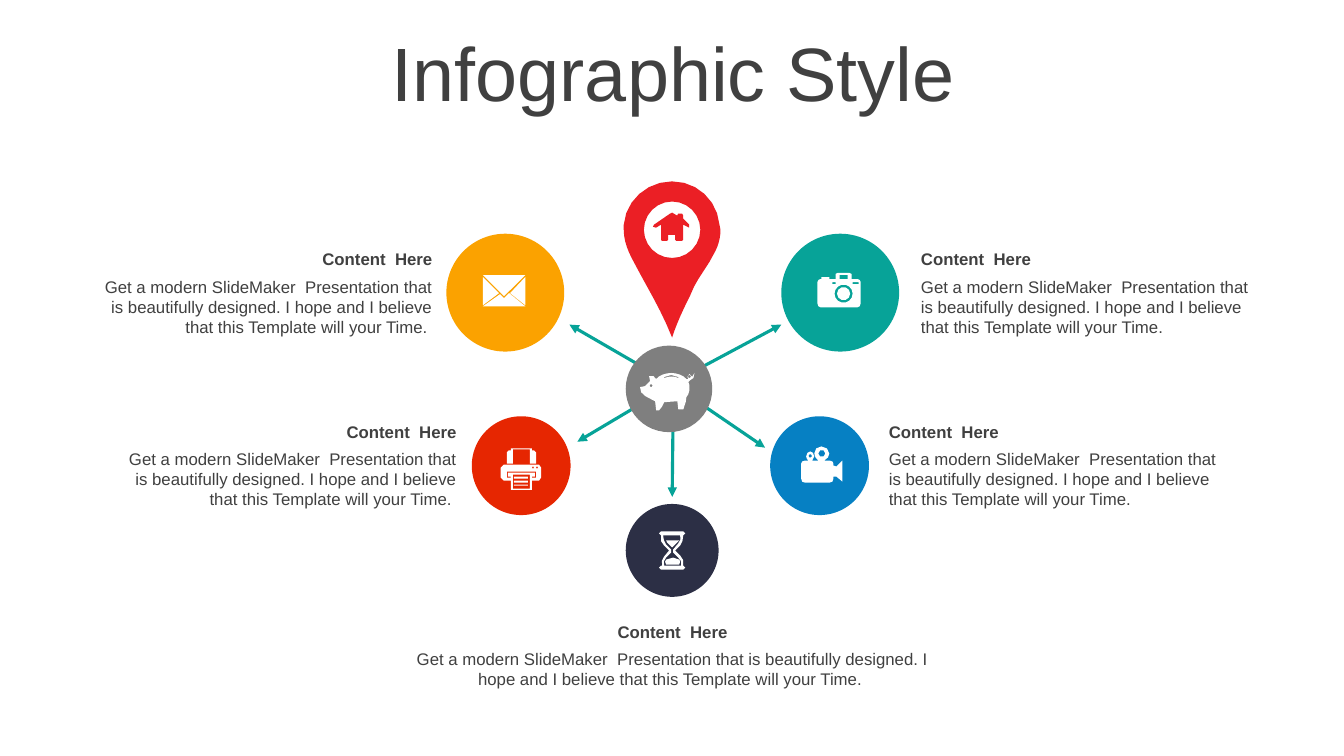
from dataclasses import dataclass
from math import cos, pi, sin

from lxml.etree import SubElement
from pptx import Presentation
from pptx.dml.color import RGBColor
from pptx.enum.shapes import MSO_CONNECTOR, MSO_SHAPE
from pptx.enum.text import MSO_ANCHOR as ANCHOR, MSO_AUTO_SIZE, PP_ALIGN as ALIGN
from pptx.oxml.ns import qn
from pptx.util import Cm, Pt

TITLE = "Infographic Style"
HEADING = "Content  Here"
BODY = ("Get a modern SlideMaker  Presentation that is beautifully designed. "
        "I hope and I believe that this Template will your Time.")

# Icon contours: text = outline of points and curves, 3 numbers = disc, 4 numbers = box.
ENVELOPE = ["26,18 42,31 0,31 17,19 21,23", "42,2 42,30 27,18",
            "0,2 16,18 0,30", "0,0 42,0 21,21"]
PRINTER = [
    (13, 36, 14, 1), (13, 32, 14, 2), (13, 28, 14, 2), (12, 26, 17, 14),
    "6,23 6,29 10,29 10,28 7,28 7,24 34,24 34,28 31,28 31,29 35,29 35,23",
    (36, 19, 1), (32, 19, 1),
    "3,16 38,16 40,19 40,29 38,32 31,32 31,41 10,41 10,32 3,32 0,29 0,19",
    "10,0 31,0 31,2 33,2 35,4 35,15 29,15 29,1 12,1 12,15 6,15 6,4 8,2 10,2",
]
HOURGLASS = [
    "14,26 20,28 21,30 20,33 7,33 6,30 7,28",
    "7,9 20,9 18,11 13,16 8,11",
    "4,4 4,7,5,10,7,13 12,18 12,21 7,26 5,28,4,31,5,34 22,34 23,31,22,28,19,26 "
    "14,21 14,18 19,12 21,10,22,7,21,4",
    "2,0 24,0 26,2 24,4 24,8,23,11,21,14 16,19 21,24 24,27,25,30,24,34 26,36 "
    "24,38 2,38 0,36 2,34 3,34 2,31,3,27,5,25 10,19 5,14 2,12,1,8,2,4 0,2",
]
CAMERA = [
    (26, 20.5, 6.5), (26, 20.5, 9), (15, 9, 3, 2), (35, 9, 6, 2), (22, 2, 8, 4),
    "20,0 32,0 34,1 34,6 40,6 42,7 43,9 43,30 42,33 40,34 3,34 1,33 0,30 0,9 "
    "1,7 3,6 4,6 4,4 12,4 12,6 18,6 18,1",
]
VIDEO = [
    (9, 9.5, 1.75), (20.5, 7, 3.5),
    "20,0 24,0,28,3,28,7 28,10,26,12,23,14 28,14 31,15 32,17 32,19 35,20 41,14 "
    "41,35 35,30 32,30 32,32 31,35 28,36 4,36 1,35 0,32 0,17 1,15 4,14 7,14 "
    "6,13,5,11,5,10 5,7,7,5,9,5 11,5,13,7,13,10 11,14 17,14 "
    "15,12,13,10,13,7 13,3,16,0,20,0",
]
PIG = [
    (11, 12.5, 1.5), (49, 3.5, 1.5),
    "31,2 24,4 24,5 29,3,34,3,38,5 38,4",
    "31,0 36,0,43,2,46,6 48,6 47,4 49,1 52,4 51,5 54,0 53,5 50,7 48,9 "
    "49,12 50,17,48,22,46,24 46,29,44,32,43,36 38,36 37,28 24,29 "
    "23,32,21,35,19,37 16,37 15,28 10,25,-1,22,0,14 5,13 10,8 9,3 "
    "13,1,14,4,16,6 19,2,26,0,31,0",
]
PIN = [
    "48,31 53,34 54,32 58,32 59,34 59,37 65,43 65,46 59,43 59,58 58,59 52,59 "
    "51,58 51,53 44,53 44,58 43,59 38,59 37,58 37,43 32,46 29,45 30,43 46,32",
    (48, 48, 28),
    "48,0 73,0,93,19,95,43 96,48 96,56,94,63,91,69 85,80 74,97 70,104 66,113 "
    "59,127,52,142,48,155 37,127,23,105,10,80 5,71,0,60,0,48 0,43 2,19,23,0,48,0",
]


@dataclass(frozen=True)
class Theme:
    font: str = "Arial"
    title: float = 54
    text: float = 12
    line: float = 2.25
    ink: str = "404040"
    teal: str = "07A398"
    orange: str = "FBA200"
    blue: str = "0680C3"
    red: str = "E62601"
    navy: str = "2C2F45"
    grey: str = "7F7F7F"
    pin: str = "EB1F25"
    white: str = "FFFFFF"


T = Theme()
ICON_UNIT = Cm(0.0254)
SIDE, WIDE = (8.89, 1.8), (14.3, 1.27)

# colour, circle (left, top, size), icon, icon place, arrow, text place, text size, alignment
TOPICS = [
    (T.teal, (19.69, 5.89, 2.97), CAMERA, (20.6, 6.88),
     (16.94, 9.65, 19.69, 8.18), (22.96, 6.15), SIDE, ALIGN.LEFT),
    (T.orange, (11.25, 5.89, 2.97), ENVELOPE, (12.17, 6.93),
     (16.89, 9.65, 14.35, 8.18), (2.26, 6.15), SIDE, ALIGN.RIGHT),
    (T.blue, (19.41, 10.49, 2.49), VIDEO, (20.19, 11.25),
     (16.89, 9.65, 19.28, 11.28), (22.15, 10.49), SIDE, ALIGN.LEFT),
    (T.red, (11.89, 10.49, 2.49), PRINTER, (12.62, 11.3),
     (17.04, 9.65, 14.55, 11.13), (2.87, 10.49), SIDE, ALIGN.RIGHT),
    (T.navy, (15.77, 12.7, 2.34), HOURGLASS, (16.61, 13.39),
     (16.97, 9.75, 16.94, 12.52), (9.8, 15.54), WIDE, ALIGN.CENTER),
]


def write(sp, text, size=T.text, bold=False, align=ALIGN.LEFT, anchor=ANCHOR.TOP, spacing=None):
    tf = sp.text_frame
    tf.word_wrap = True
    tf.auto_size = MSO_AUTO_SIZE.NONE
    tf.vertical_anchor = anchor
    p = tf.paragraphs[0]
    p.alignment, p.line_spacing = align, spacing
    r = p.add_run()
    r.text = text
    r.font.name, r.font.size, r.font.bold = T.font, Pt(size), bold
    r.font.color.rgb = RGBColor.from_string(T.ink)


def paint(sp, color):
    sp.shadow.inherit = False
    sp.fill.solid()
    sp.fill.fore_color.rgb = RGBColor.from_string(color)
    sp.line.fill.background()


def add_circle(s, color, left, top, size):
    paint(s.shapes.add_shape(MSO_SHAPE.OVAL, Cm(left), Cm(top), Cm(size), Cm(size)), color)


def add_arrow(s, *ends):
    line = s.shapes.add_connector(MSO_CONNECTOR.STRAIGHT, *map(Cm, ends))
    line.line.color.rgb = RGBColor.from_string(T.teal)
    line.line.width = Pt(T.line)
    SubElement(line.line._get_or_add_ln(), qn("a:tailEnd"), type="triangle")
    SubElement(line._element.spPr, qn("a:effectLst"))


def trace(contour):
    if len(contour) == 3:
        x, y, radius = contour
        sides = max(6, min(24, round(radius * 1.5)))
        angles = [2 * pi * i / sides for i in range(sides)]
        return [(x + radius * cos(a), y + radius * sin(a)) for a in angles]
    if len(contour) == 4:
        x, y, w, h = contour
        return [(x, y), (x + w, y), (x + w, y + h), (x, y + h)]
    points = []
    for part in contour.split():
        n = [float(v) for v in part.split(",")]
        if len(n) == 2:
            points.append(tuple(n))
            continue
        curve = [points[-1], n[0:2], n[2:4], n[4:6]]
        span = max(abs(a - b) for a, b in zip(curve[0], curve[3]))
        steps = max(2, min(6, round(span / 4)))
        for t in (i / steps for i in range(1, steps + 1)):
            weights = ((1 - t) ** 3, 3 * t * (1 - t) ** 2, 3 * t * t * (1 - t), t ** 3)
            points.append(tuple(sum(w * c[k] for w, c in zip(weights, curve)) for k in (0, 1)))
    return points


def add_icon(s, contours, left, top, color=T.white):
    outlines = [[(x * ICON_UNIT, y * ICON_UNIT) for x, y in trace(c)] for c in contours]
    builder = s.shapes.build_freeform(*outlines[0][0])
    for i, points in enumerate(outlines):
        if i:
            builder.move_to(*points[0])
        builder.add_line_segments(points[1:], close=True)
    paint(builder.convert_to_shape(Cm(left), Cm(top)), color)


def add_topic_text(s, left, top, width, height, align):
    sp = s.shapes.add_textbox(Cm(left), Cm(top), Cm(width), Cm(0.76))
    write(sp, HEADING, bold=True, align=align, anchor=ANCHOR.MIDDLE)
    sp = s.shapes.add_textbox(Cm(left), Cm(top + 0.69), Cm(width), Cm(height))
    write(sp, BODY if align == ALIGN.LEFT else BODY + " ", align=align)


def main():
    prs = Presentation()
    prs.slide_width, prs.slide_height = Cm(33.87), Cm(19.05)
    s = prs.slides.add_slide(prs.slide_layouts[5])
    title = s.shapes.title
    title.left, title.top, title.width, title.height = Cm(0.89), Cm(0.94), Cm(32.16), Cm(2)
    write(title, TITLE, size=T.title, align=ALIGN.CENTER, anchor=ANCHOR.MIDDLE, spacing=0.9)
    for color, circle, icon, place, arrow, text_at, text_size, align in TOPICS:
        add_topic_text(s, *text_at, *text_size, align)
        add_circle(s, color, *circle)
        add_arrow(s, *arrow)
        add_icon(s, icon, *place)
    add_circle(s, T.grey, 15.77, 8.71, 2.18)
    add_icon(s, PIG, 16.13, 9.4)
    add_icon(s, PIN, 15.72, 4.57, T.pin)
    prs.save("out.pptx")


if __name__ == "__main__":
    main()
